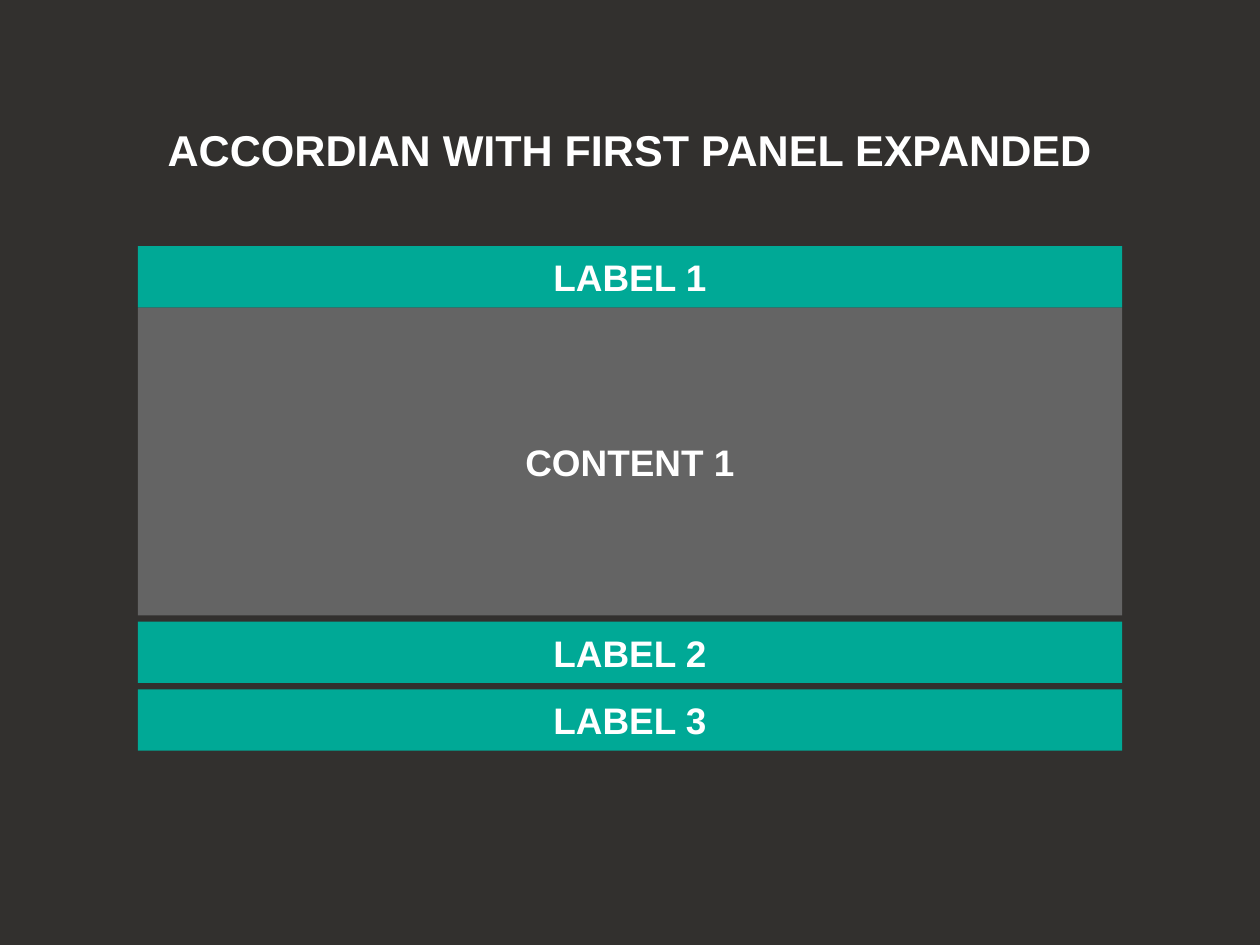
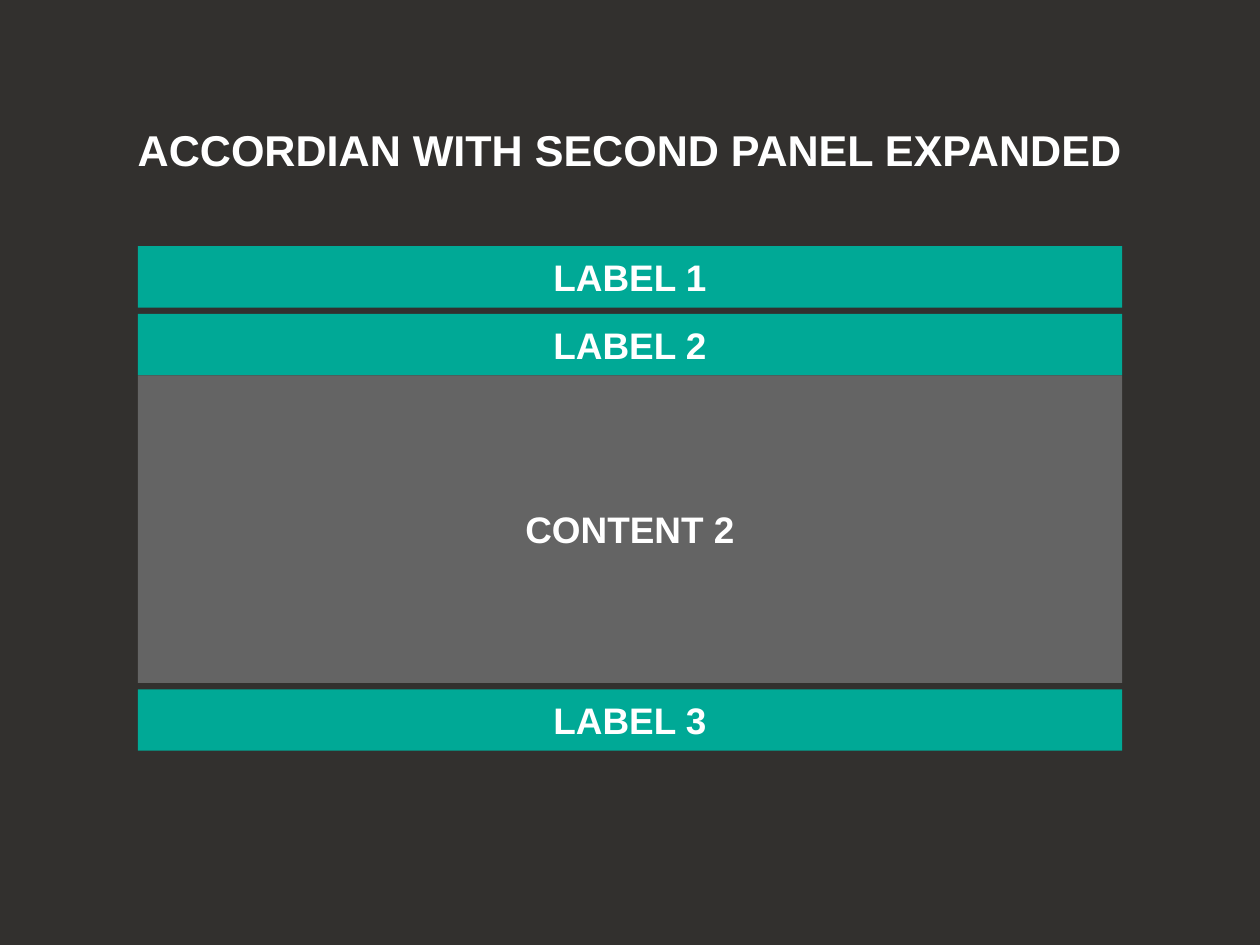
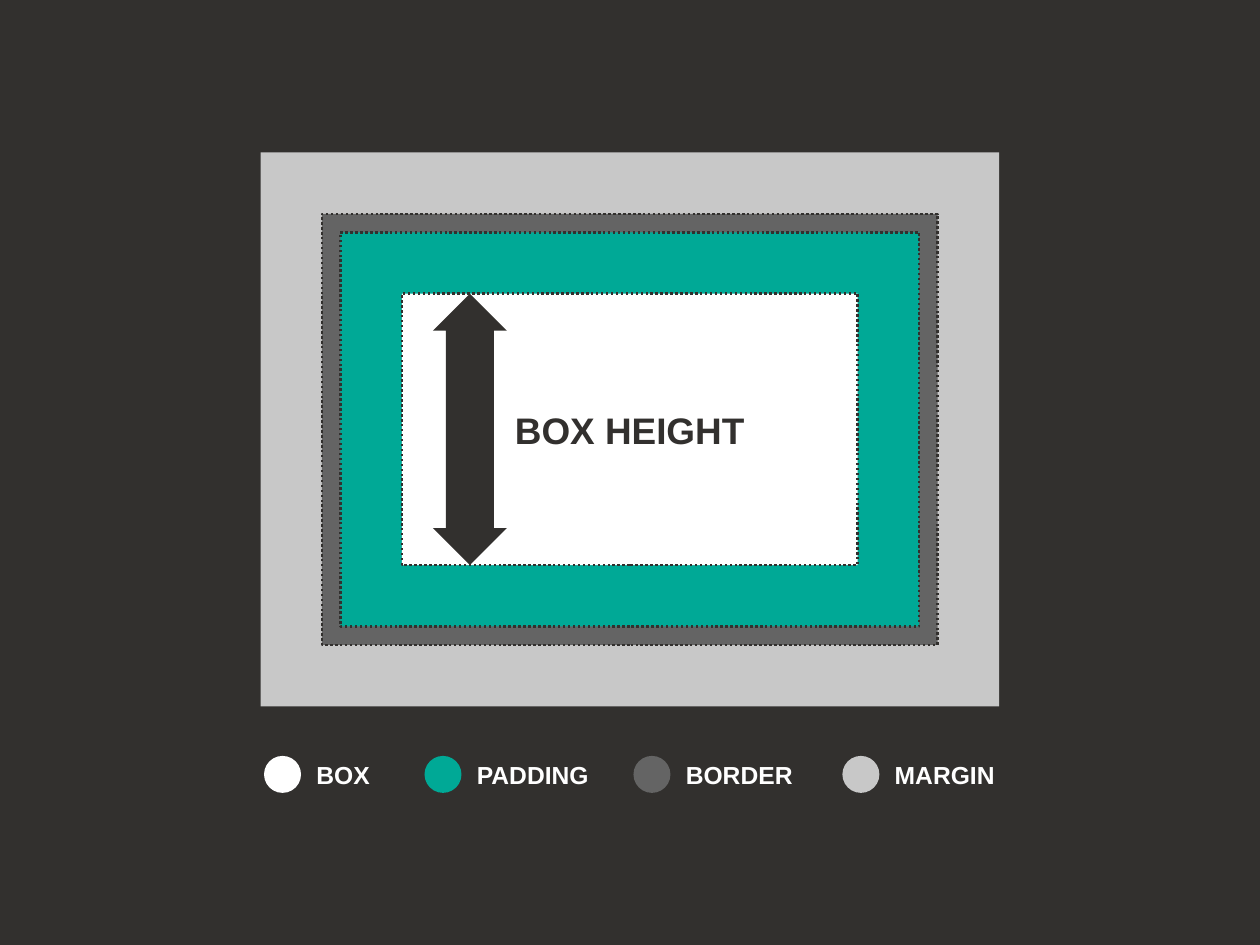
from dataclasses import dataclass

from pptx import Presentation
from pptx.dml.color import RGBColor
from pptx.enum.dml import MSO_LINE
from pptx.enum.shapes import MSO_SHAPE
from pptx.enum.text import MSO_ANCHOR, MSO_AUTO_SIZE, PP_ALIGN
from pptx.presentation import Presentation as Deck
from pptx.shapes.autoshape import Shape
from pptx.slide import Slide
from pptx.text.text import TextFrame
from pptx.util import Cm, Pt

RECTANGLE = MSO_SHAPE.RECTANGLE
OVAL = MSO_SHAPE.OVAL
DOUBLE_ARROW = MSO_SHAPE.UP_DOWN_ARROW
DOTTED = MSO_LINE.ROUND_DOT
LEFT, CENTER = PP_ALIGN.LEFT, PP_ALIGN.CENTER
TOP, MIDDLE = MSO_ANCHOR.TOP, MSO_ANCHOR.MIDDLE
NO_AUTOFIT = MSO_AUTO_SIZE.NONE

COLORS = {
    "dark": "32302E",
    "teal": "00A996",
    "gray": "646464",
    "silver": "C8C8C8",
    "white": "FFFFFF",
}
FONT = "Arial"
TITLE_SIZE, LABEL_SIZE, LEGEND_SIZE = 35, 30, 20

SLIDE_WIDTH, SLIDE_HEIGHT = 36.12, 27.09
TITLE_INSET = 3.53
TITLE_LAYOUT, BLANK_LAYOUT = 5, 6

PANEL_LEFT, PANEL_TOP, PANEL_WIDTH = 3.95, 7.06, 28.22
LABEL_HEIGHT, CONTENT_HEIGHT, PANEL_GAP = 1.76, 8.82, 0.18
PANEL_COUNT = 3

LEGEND_TOP, DOT_SIZE, LEGEND_TEXT_OFFSET = 21.67, 1.06, 1.5


@dataclass(frozen=True)
class Box:
    left: float
    top: float
    width: float
    height: float

    def inset(self, distance: float) -> "Box":
        return Box(
            self.left + distance,
            self.top + distance,
            self.width - 2 * distance,
            self.height - 2 * distance,
        )

    def lengths(self) -> tuple[Cm, Cm, Cm, Cm]:
        return Cm(self.left), Cm(self.top), Cm(self.width), Cm(self.height)


@dataclass(frozen=True)
class Accordion:
    title: str
    expanded: int


@dataclass(frozen=True)
class Layer:
    inset: float
    color: str
    outlined: bool = True


@dataclass(frozen=True)
class LegendItem:
    text: str
    color: str
    left: float
    text_width: float


ACCORDIONS = [
    Accordion("ACCORDIAN WITH FIRST PANEL EXPANDED", 1),
    Accordion("ACCORDIAN WITH SECOND PANEL EXPANDED", 2),
]
MARGIN_BOX = Box(7.47, 4.37, 21.17, 15.88)
LAYERS = [
    Layer(0, "silver", outlined=False),
    Layer(1.76, "gray"),
    Layer(0.53, "teal"),
    Layer(1.76, "white"),
]
LEGEND = [
    LegendItem("BOX", "white", 7.57, 1.76),
    LegendItem("PADDING", "teal", 12.17, 3.53),
    LegendItem("BORDER", "gray", 18.16, 3.53),
    LegendItem("MARGIN", "silver", 24.15, 2.9),
]


def rgb(color: str) -> RGBColor:
    return RGBColor.from_string(COLORS[color])


def write_text(
    frame: TextFrame,
    text: str,
    size: float,
    color: str = "white",
    alignment: PP_ALIGN = CENTER,
    anchor: MSO_ANCHOR = MIDDLE,
    inset: float = 0,
) -> None:
    frame.word_wrap = True
    frame.auto_size = NO_AUTOFIT
    frame.vertical_anchor = anchor
    frame.margin_left = frame.margin_right = Cm(inset)
    frame.margin_top = frame.margin_bottom = Cm(inset)
    frame.text = text
    paragraph = frame.paragraphs[0]
    paragraph.alignment = alignment
    paragraph.font.name = FONT
    paragraph.font.size = Pt(size)
    paragraph.font.bold = True
    paragraph.font.color.rgb = rgb(color)


def add_filled_shape(
    slide: Slide, kind: MSO_SHAPE, box: Box, color: str, outlined: bool = False
) -> Shape:
    shape = slide.shapes.add_shape(kind, *box.lengths())
    shape.shadow.inherit = False
    shape.fill.solid()
    shape.fill.fore_color.rgb = rgb(color)
    if outlined:
        shape.line.color.rgb = rgb("dark")
        shape.line.width = Pt(2)
        shape.line.dash_style = DOTTED
    else:
        shape.line.fill.background()
    return shape


def add_panel(slide: Slide, text: str, top: float, height: float, color: str) -> None:
    box = Box(PANEL_LEFT, top, PANEL_WIDTH, height)
    panel = add_filled_shape(slide, RECTANGLE, box, color)
    write_text(panel.text_frame, text, LABEL_SIZE)


def set_title(slide: Slide, text: str) -> None:
    title = slide.shapes.title
    box = Box(0, 0, SLIDE_WIDTH, SLIDE_HEIGHT)
    title.left, title.top, title.width, title.height = box.lengths()
    write_text(title.text_frame, text, TITLE_SIZE, anchor=TOP, inset=TITLE_INSET)


def build_accordion(presentation: Deck, accordion: Accordion) -> None:
    slide = presentation.slides.add_slide(presentation.slide_layouts[TITLE_LAYOUT])
    set_title(slide, accordion.title)
    top = PANEL_TOP
    for number in range(1, PANEL_COUNT + 1):
        add_panel(slide, f"LABEL {number}", top, LABEL_HEIGHT, "teal")
        top += LABEL_HEIGHT
        if number == accordion.expanded:
            add_panel(slide, f"CONTENT {number}", top, CONTENT_HEIGHT, "gray")
            top += CONTENT_HEIGHT
        top += PANEL_GAP


def add_legend_item(slide: Slide, item: LegendItem) -> None:
    dot = Box(item.left, LEGEND_TOP, DOT_SIZE, DOT_SIZE)
    add_filled_shape(slide, OVAL, dot, item.color)
    text_box = Box(
        item.left + LEGEND_TEXT_OFFSET, LEGEND_TOP, item.text_width, DOT_SIZE
    )
    label = slide.shapes.add_textbox(*text_box.lengths())
    write_text(label.text_frame, item.text, LEGEND_SIZE, alignment=LEFT)


def add_height_arrow(slide: Slide, content_box: Box) -> None:
    box = Box(content_box.left + 0.89, content_box.top, 2.12, content_box.height)
    arrow = add_filled_shape(slide, DOUBLE_ARROW, box, "dark")
    arrow.adjustments[0] = 0.15
    arrow.adjustments[1] = 0.65


def build_box_model(presentation: Deck) -> None:
    slide = presentation.slides.add_slide(presentation.slide_layouts[BLANK_LAYOUT])
    box = MARGIN_BOX
    for layer in LAYERS:
        box = box.inset(layer.inset)
        shape = add_filled_shape(slide, RECTANGLE, box, layer.color, layer.outlined)
    write_text(shape.text_frame, "BOX HEIGHT", LABEL_SIZE, "dark", inset=0.71)
    for item in LEGEND:
        add_legend_item(slide, item)
    add_height_arrow(slide, box)


def main() -> None:
    presentation = Presentation()
    presentation.slide_width = Cm(SLIDE_WIDTH)
    presentation.slide_height = Cm(SLIDE_HEIGHT)
    background = presentation.slide_master.background.fill
    background.solid()
    background.fore_color.rgb = rgb("dark")
    for accordion in ACCORDIONS:
        build_accordion(presentation, accordion)
    build_box_model(presentation)
    presentation.save("out.pptx")


if __name__ == "__main__":
    main()
